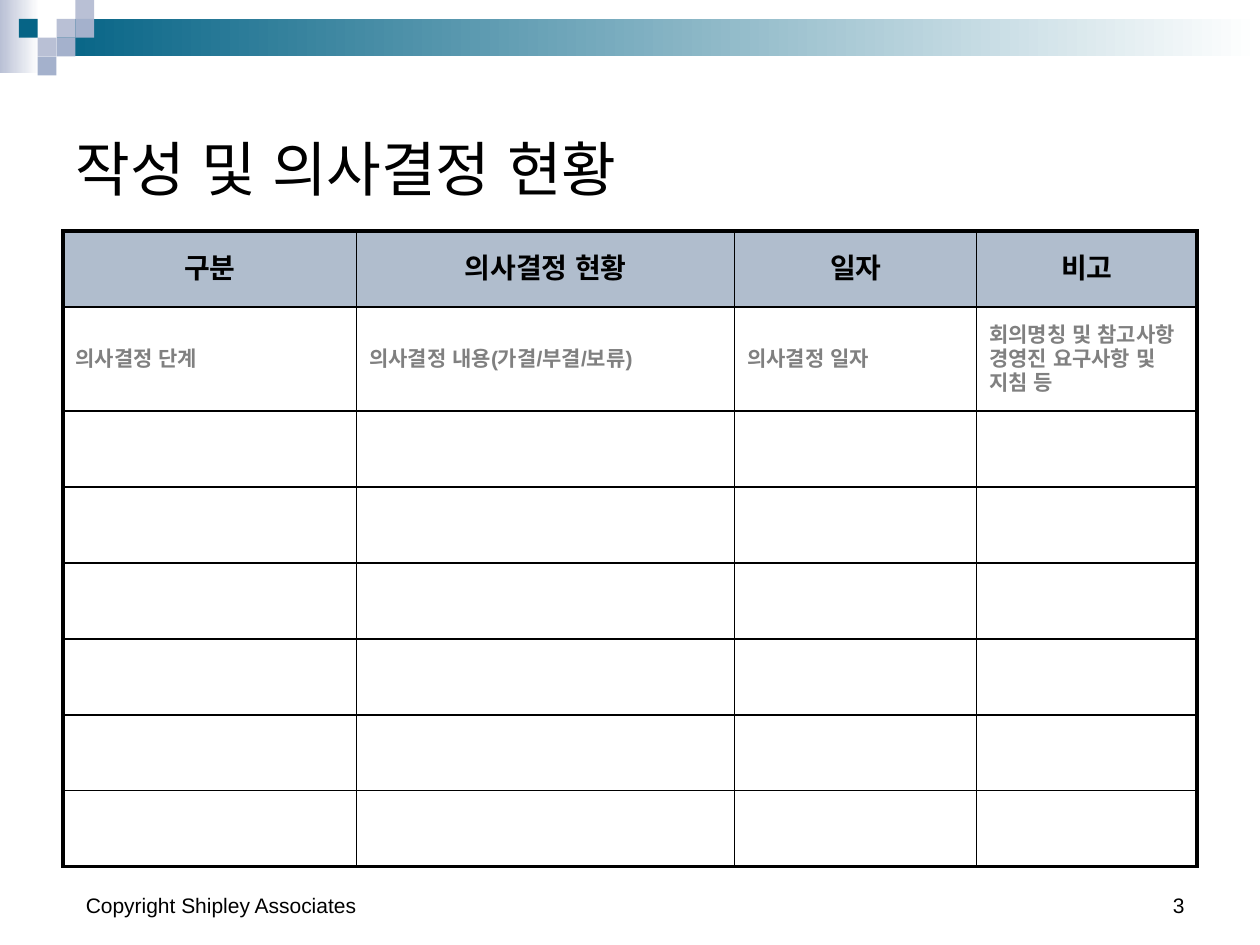
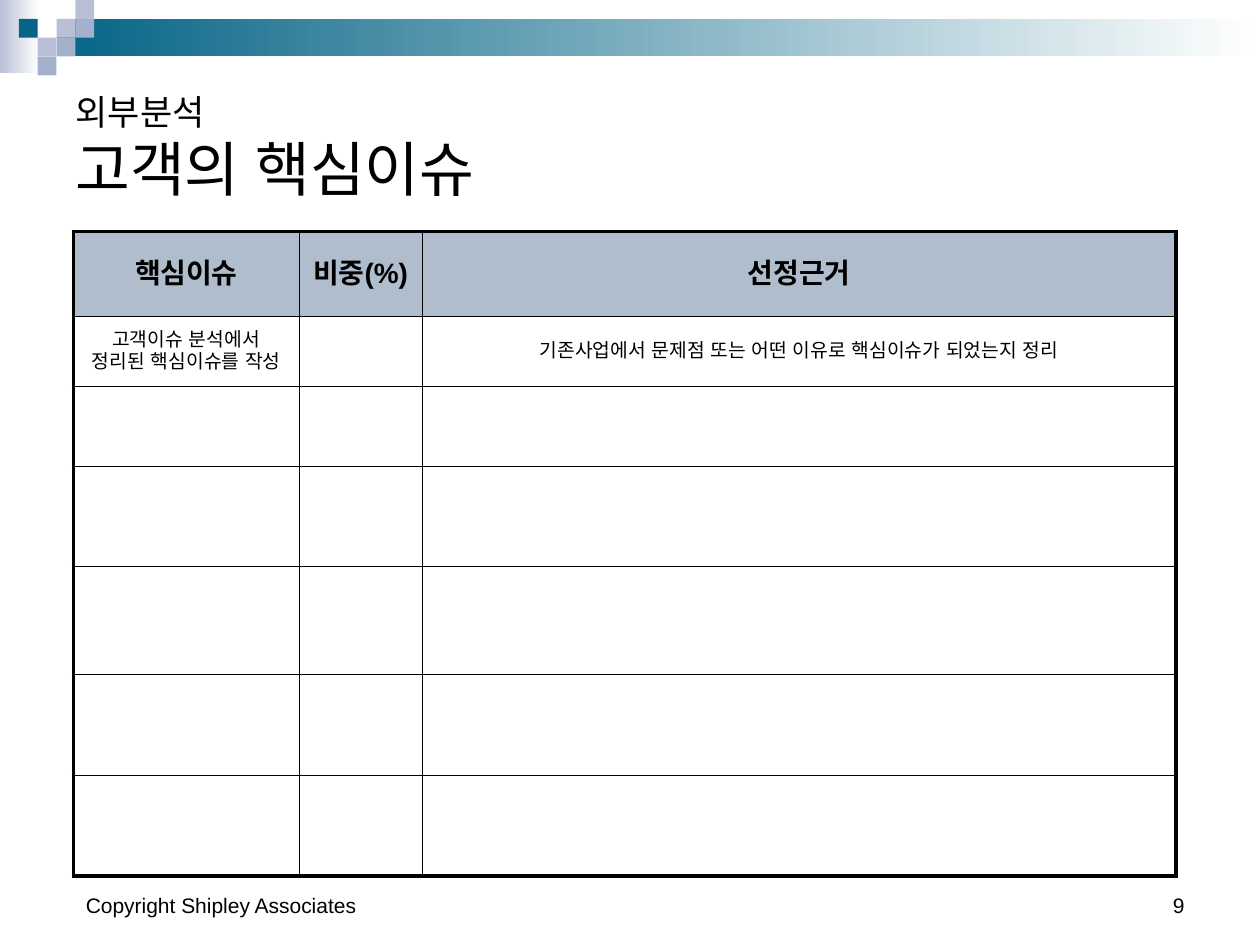
from copy import deepcopy

from lxml.etree import SubElement
from pptx import Presentation
from pptx.dml.color import RGBColor
from pptx.enum.shapes import MSO_SHAPE
from pptx.enum.text import MSO_ANCHOR, MSO_AUTO_SIZE, PP_ALIGN
from pptx.oxml.ns import qn
from pptx.util import Cm, Pt

# Theme: colours, type sizes and line widths
THEME = {
    "font": "Arial",
    "black": RGBColor(0x00, 0x00, 0x00),
    "white": RGBColor(0xFF, 0xFF, 0xFF),
    "teal": RGBColor(0x06, 0x64, 0x86),
    "lilac": RGBColor(0xB9, 0xC0, 0xD5),
    "periwinkle": RGBColor(0xA4, 0xB1, 0xCC),
    "header": RGBColor(0xB0, 0xBD, 0xCD),
    "hint": RGBColor(0x80, 0x80, 0x80),
    "title": Pt(34),
    "kicker": Pt(20),
    "heading": Pt(16),
    "small": Pt(12),
    "note": Pt(11),
    "frame": Pt(2.25),
}

# Header decoration: gradient bands and a grid of small squares
BANDS = [("lilac", 0, 0, 0.79, 1.47), ("teal", 1.14, 0.38, 24.26, 0.76)]
SQUARE = 0.38
SQUARES = [("lilac", 3, 1), ("lilac", 4, 0), ("periwinkle", 4, 1), ("lilac", 2, 2),
           ("teal", 1, 1), ("periwinkle", 3, 2), ("periwinkle", 2, 3)]

COPYRIGHT = "Copyright Shipley Associates"
PAGES = [
    {
        "number": "3",
        "title": [("작성 및 의사결정 현황", "title")],
        "origin": (1.27, 4.66),
        "columns": [5.92, 7.62, 4.88, 4.44],
        "rows": [1.53, 2.1] + [1.53] * 6,
        "headings": ["구분", "의사결정 현황", "일자", "비고"],
        "guide": ["의사결정 단계", "의사결정 내용(가결/부결/보류)", "의사결정 일자",
                  "회의명칭 및 참고사항\n경영진 요구사항 및\v지침 등"],
        "guide_style": {"size": "small", "color": "hint", "bold": True,
                        "alignment": PP_ALIGN.LEFT},
        "grid": Pt(1),
    },
    {
        "number": "9",
        "title": [("외부분석", "kicker"), ("고객의 핵심이슈", "title")],
        "origin": (1.48, 4.67),
        "columns": [4.55, 2.48, 15.2],
        "rows": [1.7, 1.41, 1.61, 2.03, 2.18, 2.03, 2.03],
        "headings": ["핵심이슈", "비중(%)", "선정근거"],
        "guide": ["고객이슈 분석에서 정리된 핵심이슈를 작성", "",
                  "기존사업에서 문제점 또는 어떤 이유로 핵심이슈가 되었는지 정리"],
        "guide_style": {"size": "note", "color": "black", "bold": False,
                        "alignment": PP_ALIGN.CENTER},
        "grid": Pt(0.25),
    },
]
HEADING_STYLE = {"size": "heading", "color": "black", "bold": True,
                 "alignment": PP_ALIGN.CENTER}


def format_text(frame, size, color="black", bold=False, alignment=PP_ALIGN.LEFT):
    values = {"name": THEME["font"], "size": THEME[size], "bold": bold}
    for paragraph in frame.paragraphs:
        paragraph.alignment = alignment
        for run in paragraph.runs:
            for attribute, value in values.items():
                setattr(run.font, attribute, value)
            run.font.color.rgb = THEME[color]
            # Korean text and its spaces use the same font
            SubElement(run._r.rPr, qn("a:ea"), typeface=THEME["font"])
        # Line breaks take the size of the text before them
        for line_break in paragraph._p.findall(qn("a:br")):
            line_break.insert(0, deepcopy(paragraph.runs[0]._r.rPr))


def draw_borders(cell, widths):
    properties = cell._tc.get_or_add_tcPr()
    for position, (side, width) in enumerate(widths.items()):
        line = SubElement(properties, qn(f"a:ln{side}"), w=str(width))
        fill = SubElement(line, qn("a:solidFill"))
        SubElement(fill, qn("a:srgbClr"), val=str(THEME["black"]))
        properties.insert(position, line)


deck = Presentation()
deck.slide_width, deck.slide_height = Cm(25.4), Cm(19.05)

for page in PAGES:
    slide = deck.slides.add_slide(deck.slide_layouts[5])

    # Header decoration
    pieces = BANDS + [(color, column * SQUARE, row * SQUARE, SQUARE, SQUARE)
                      for color, column, row in SQUARES]
    for index, (color, *box) in enumerate(pieces):
        piece = slide.shapes.add_shape(MSO_SHAPE.RECTANGLE, *map(Cm, box))
        piece.shadow.inherit = False
        piece.line.fill.background()
        if index < len(BANDS):
            piece.fill.gradient()
            piece.fill.gradient_angle = 0
            for stop, tint in zip(piece.fill.gradient_stops, (color, "white")):
                stop.color.rgb = THEME[tint]
        else:
            piece.fill.solid()
            piece.fill.fore_color.rgb = THEME[color]

    # Page number and copyright
    for text, left, width, alignment in [
        (page["number"], 18.2, 5.93, PP_ALIGN.RIGHT),
        (COPYRIGHT, 1.48, 8.04, PP_ALIGN.LEFT),
    ]:
        footer = slide.shapes.add_textbox(Cm(left), Cm(17.36), Cm(width), Cm(1.27))
        footer.text_frame.word_wrap = True
        footer.text_frame.vertical_anchor = MSO_ANCHOR.BOTTOM
        footer.text_frame.text = text
        format_text(footer.text_frame, "small", alignment=alignment)

    # Title
    title = slide.shapes.title
    title_box = {"left": Cm(1.27), "top": Cm(1.27), "width": Cm(22.86), "height": Cm(2.96)}
    for attribute, value in title_box.items():
        setattr(title, attribute, value)
    title.text_frame.auto_size = MSO_AUTO_SIZE.NONE
    title.text_frame.vertical_anchor = MSO_ANCHOR.BOTTOM
    title.text_frame.text = "\v".join(text for text, _ in page["title"])
    format_text(title.text_frame, page["title"][0][1])
    for run, (_, size) in zip(title.text_frame.paragraphs[0].runs, page["title"]):
        run.font.size = THEME[size]

    # Table
    columns, rows = page["columns"], page["rows"]
    table = slide.shapes.add_table(
        len(rows), len(columns), *map(Cm, page["origin"]), Cm(sum(columns)), Cm(sum(rows))
    ).table
    for column, width in zip(table.columns, columns):
        column.width = Cm(width)
    for row, height in zip(table.rows, rows):
        row.height = Cm(height)

    # Cells: fills, wording and borders
    last_row, last_column = len(rows) - 1, len(columns) - 1
    wording = [(page["headings"], HEADING_STYLE), (page["guide"], page["guide_style"])]
    for r in range(len(rows)):
        for c in range(len(columns)):
            cell = table.cell(r, c)
            cell.fill.solid()
            cell.fill.fore_color.rgb = THEME["header" if r == 0 else "white"]
            cell.vertical_anchor = MSO_ANCHOR.MIDDLE
            if r < len(wording):
                texts, style = wording[r]
                cell.text_frame.text = texts[c]
                format_text(cell.text_frame, **style)
            outer = {"L": c == 0, "R": c == last_column, "T": r == 0, "B": r == last_row}
            draw_borders(cell, {side: THEME["frame"] if edge else page["grid"]
                                for side, edge in outer.items()})

deck.save("out.pptx")
